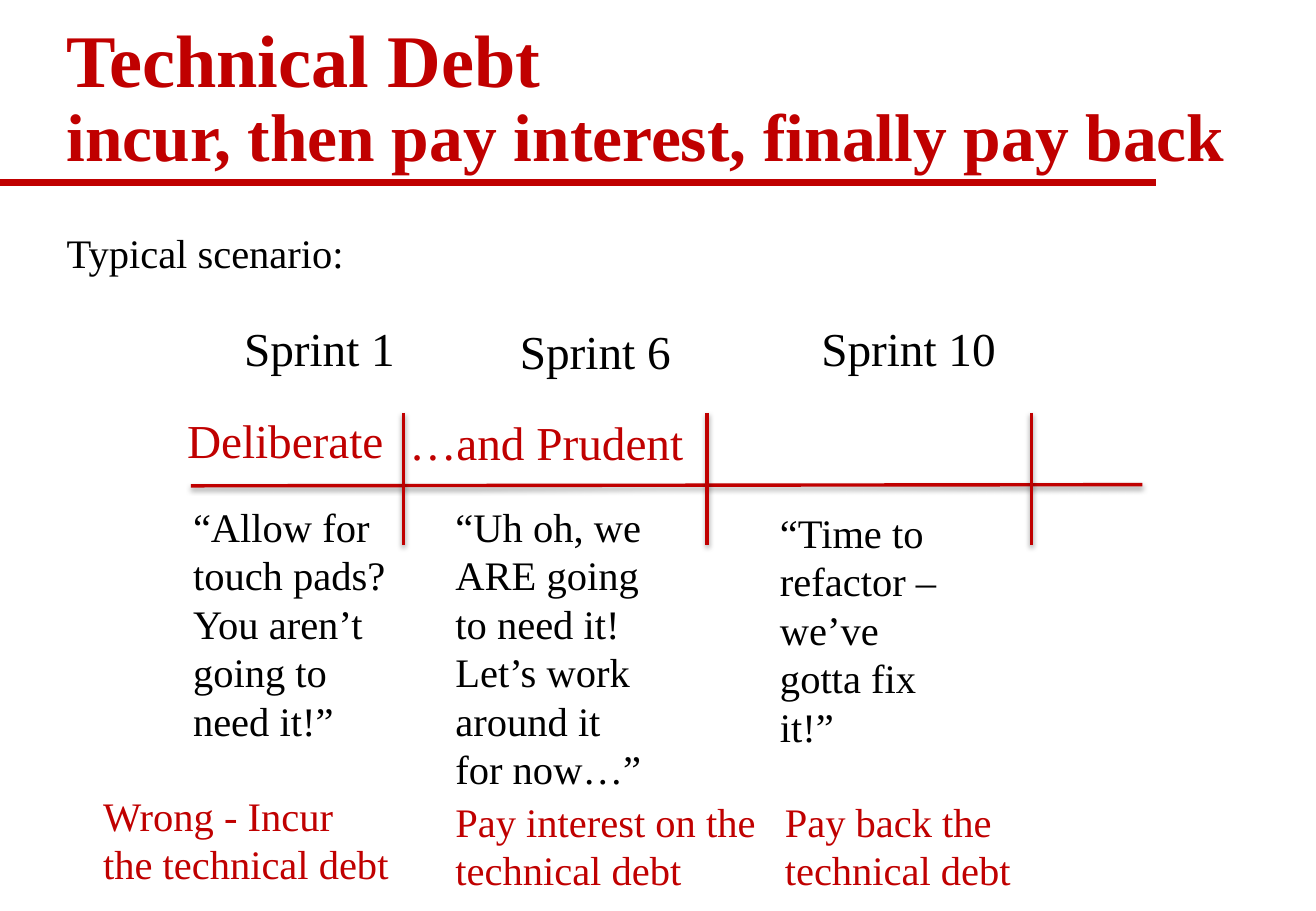
import lxml.etree
import pptx
import pptx.dml.color
import pptx.enum.shapes
import pptx.enum.text
import pptx.oxml.ns
import pptx.util
from dataclasses import dataclass


@dataclass(frozen=True)
class Theme:
    font: str = "Times New Roman"
    red: str = "C00000"
    black: str = "000000"
    title: int = 44
    subtitle: int = 40
    label: int = 28
    body: int = 24
    rule: int = 4
    timeline: int = 2


THEME = Theme()
SLIDE_WIDTH, SLIDE_HEIGHT = 10.83, 7.5

# Places are percentages of the slide's width and height.
TITLE = "Technical Debt\vincur, then pay interest, finally pay back"
TITLE_AREA = (4.16, 3.87, 91.23, 16.13)
INTRO = "Typical scenario:"
INTRO_AREA = (4.16, 24.4, 91.23, 72.27)

# Each entry: text, left, top, width
SPRINTS = [
    ("Sprint 1", 17.64, 34.4, 13.48),
    ("Sprint 6", 38.6, 34.67, 13.48),
    ("Sprint 10", 61.5, 34.4, 15.24),
]
DEBT_KINDS = [
    ("Deliberate", 13.3, 44.53, 16.9),
    ("…and Prudent", 30.19, 44.67, 22.9),
]
QUOTES = [
    ("“Allow for touch pads? You aren’t going to need it!”", 13.76, 54.4, 17.27),
    ("“Uh oh, we ARE going to need it! Let’s work around it for now…”", 33.7, 54.4, 16.16),
    ("“Time to refactor – we’ve gotta fix it!”", 58.36, 55.07, 16.16),
]
OUTCOMES = [
    ("Wrong - Incur the technical debt", 6.93, 86.13, 23.73),
    ("Pay interest on the technical debt", 33.7, 86.8, 24.65),
    ("Pay back the technical debt", 58.73, 86.8, 19.21),
]
# Each group: entries, height, size, colour, wrap
TEXT_GROUPS = [
    (SPRINTS, 7.6, THEME.label, THEME.black, False),
    (QUOTES, 28.27, THEME.body, THEME.black, True),
    (OUTCOMES, 12.13, THEME.body, THEME.red, True),
    (DEBT_KINDS, 7.6, THEME.label, THEME.red, False),
]

HEADER_RULE = (0, 20, 87.81, 20)
TIMELINE = (14.5, 53.33, 86.8, 53.2)
TICKS = (30.66, 53.74, 78.39)
TICK_TOP, TICK_BOTTOM = 45.33, 59.87


def to_lengths(shares):
    """Turn alternating horizontal and vertical percentages into lengths."""
    sides = (SLIDE_WIDTH, SLIDE_HEIGHT) * 2
    return [pptx.util.Inches(share * side / 100) for share, side in zip(shares, sides)]


def add_text(page, text, area, sizes, color, bold=False, wrap=True):
    """Add a one-paragraph box; sizes holds one type size per run."""
    box = page.shapes.add_textbox(*to_lengths(area))
    frame = box.text_frame
    frame.word_wrap = wrap
    para = frame.paragraphs[0]
    para.text = text
    for span, size in zip(para.runs, sizes):
        span.font.name = THEME.font
        span.font.size = pptx.util.Pt(size)
        span.font.bold = bold
        span.font.color.rgb = pptx.dml.color.RGBColor.from_string(color)
    return frame


def add_line(page, ends, weight, shadow=False):
    line = page.shapes.add_connector(
        pptx.enum.shapes.MSO_CONNECTOR.STRAIGHT, *to_lengths(ends))
    line.line.color.rgb = pptx.dml.color.RGBColor.from_string(THEME.red)
    line.line.width = pptx.util.Pt(weight)
    qn = pptx.oxml.ns.qn
    effects = lxml.etree.SubElement(line._element.spPr, qn("a:effectLst"))
    if shadow:
        outer = lxml.etree.SubElement(
            effects, qn("a:outerShdw"), blurRad=str(pptx.util.Pt(3.1)),
            dist=str(pptx.util.Pt(1.6)), dir="5400000", rotWithShape="0")
        shade = lxml.etree.SubElement(outer, qn("a:srgbClr"), val=THEME.black)
        lxml.etree.SubElement(shade, qn("a:alpha"), val="38000")


def main():
    deck = pptx.Presentation()
    deck.slide_width = pptx.util.Inches(SLIDE_WIDTH)
    deck.slide_height = pptx.util.Inches(SLIDE_HEIGHT)
    page = deck.slides.add_slide(deck.slide_layouts[6])

    add_line(page, HEADER_RULE, THEME.rule)
    title = add_text(page, TITLE, TITLE_AREA, (THEME.title, THEME.subtitle),
                     THEME.red, bold=True)
    title.vertical_anchor = pptx.enum.text.MSO_ANCHOR.BOTTOM
    title.paragraphs[0].line_spacing = 0.9
    add_text(page, INTRO, INTRO_AREA, (THEME.body,), THEME.black)

    add_line(page, TIMELINE, THEME.timeline, shadow=True)
    for tick in TICKS:
        add_line(page, (tick, TICK_TOP, tick, TICK_BOTTOM), THEME.timeline, shadow=True)

    for entries, height, size, color, wrap in TEXT_GROUPS:
        for text, left, top, width in entries:
            frame = add_text(page, text, (left, top, width, height), (size,),
                             color, wrap=wrap)
            frame.auto_size = pptx.enum.text.MSO_AUTO_SIZE.SHAPE_TO_FIT_TEXT

    deck.save("out.pptx")


if __name__ == "__main__":
    main()
